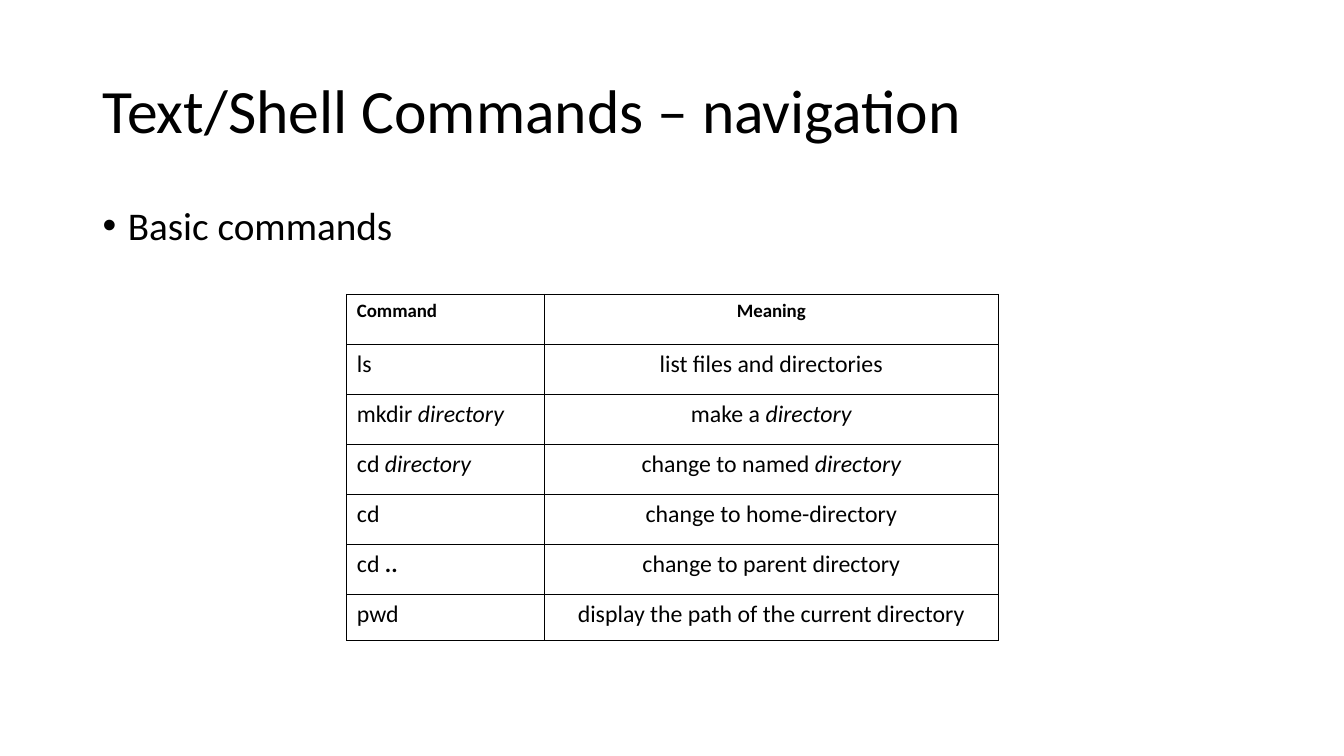
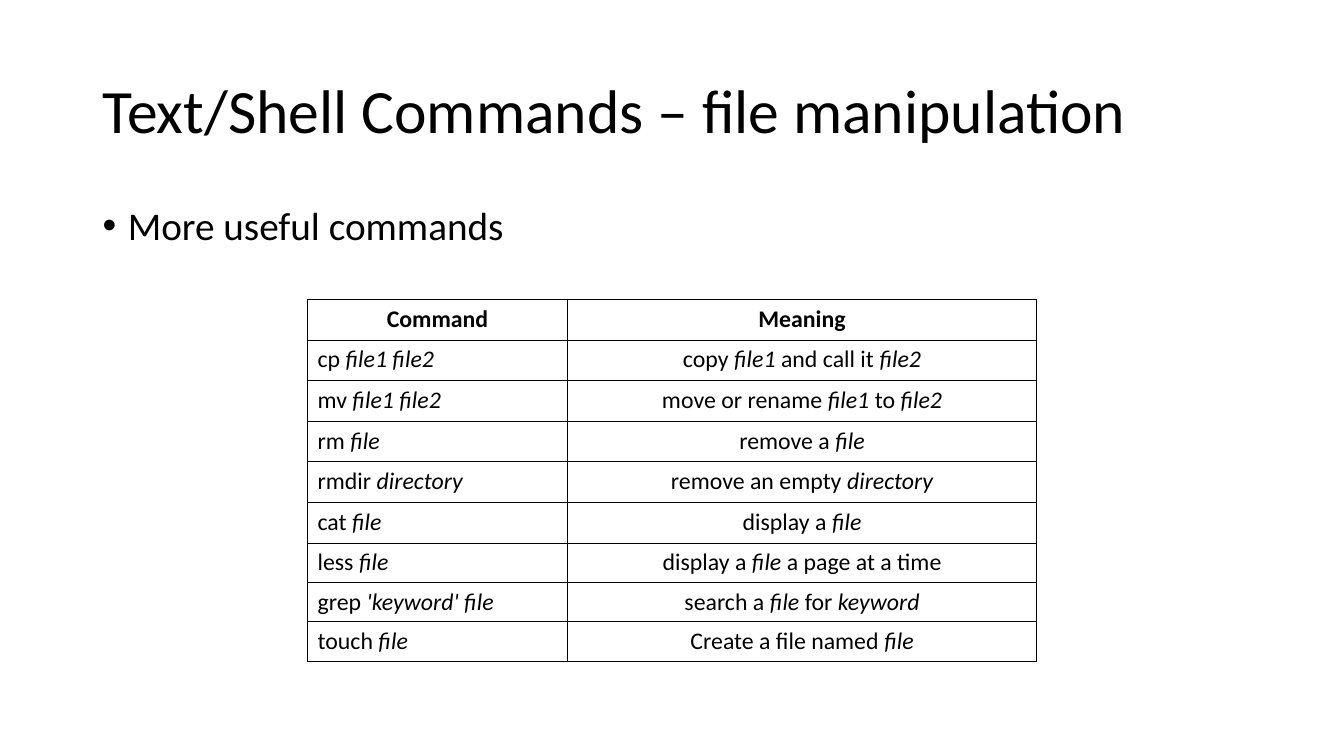
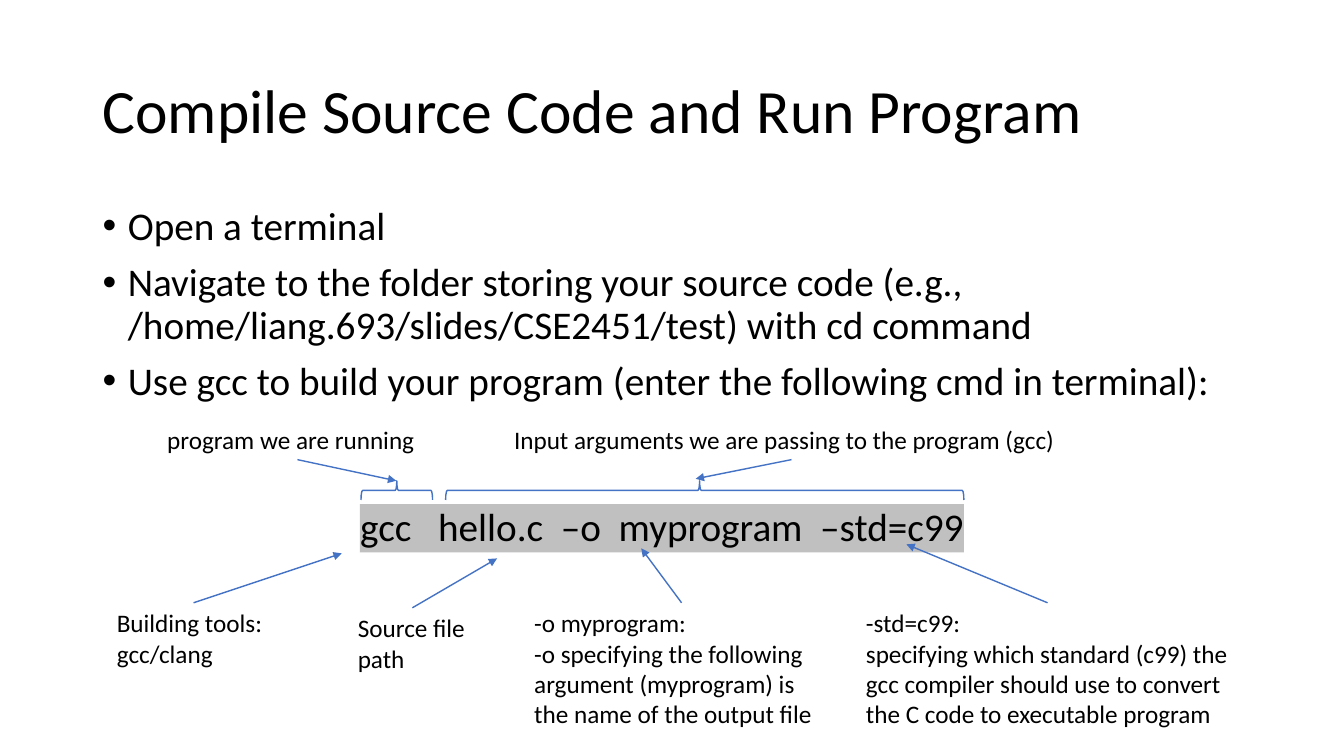
from lxml import etree
from pptx import Presentation
from pptx.dml.color import RGBColor
from pptx.enum import shapes, text
from pptx.oxml import ns
from pptx.util import Inches, Pt

BLACK = RGBColor(0x00, 0x00, 0x00)
BLUE = RGBColor(0x44, 0x72, 0xC4)
SILVER = RGBColor(0xC0, 0xC0, 0xC0)
FONT = "Calibri"
LEFT, CENTER = text.PP_ALIGN.LEFT, text.PP_ALIGN.CENTER
MIDDLE, TOP = text.MSO_ANCHOR.MIDDLE, text.MSO_ANCHOR.TOP


def set_values(target, values):
    for name, value in values.items():
        setattr(target, name, value)


def add_xml(parent, tag, **attributes):
    return etree.SubElement(parent, ns.qn(tag), attributes)


class Deck:
    """Holds the presentation style and the current slide."""

    outline = {"width": Pt(1)}
    body_format = {"line_spacing": 0.9, "space_before": Pt(10)}

    def __init__(self):
        self.presentation = Presentation()
        set_values(self.presentation, {"slide_width": Inches(13.33), "slide_height": Inches(7.5)})
        self.slide = None

    def new_slide(self, title, bullets, body_height=4.76):
        layout = self.presentation.slide_layouts[6]
        self.slide = self.presentation.slides.add_slide(layout)
        self.text_box(0.92, 0.4, 11.5, 1.45, [title], 44, anchor=MIDDLE,
                      paragraph_format={"line_spacing": 0.9})
        body = self.text_box(0.92, 2, 11.5, body_height, bullets, 28,
                             paragraph_format=self.body_format)
        for paragraph in body.paragraphs:
            properties = paragraph._p.get_or_add_pPr()
            properties.set("marL", str(Inches(0.25)))
            properties.set("indent", str(Inches(-0.25)))
            add_xml(properties, "a:buFont", typeface="Arial")
            add_xml(properties, "a:buChar", char="•")

    def add_run(self, paragraph, wording, size, bold=False, italic=False):
        run = paragraph.add_run()
        run.text = wording
        set_values(run.font, {"name": FONT, "size": Pt(size), "bold": bold, "italic": italic})
        run.font.color.rgb = BLACK
        return run

    def text_box(self, left, top, width, height, lines, size, anchor=TOP, paragraph_format=None):
        box = self.slide.shapes.add_textbox(*map(Inches, (left, top, width, height)))
        frame = box.text_frame
        set_values(frame, {"word_wrap": True, "vertical_anchor": anchor})
        for index, line in enumerate(lines):
            paragraph = frame.add_paragraph() if index else frame.paragraphs[0]
            set_values(paragraph, paragraph_format or {})
            self.add_run(paragraph, line, size)
        return frame

    def label(self, left, top, width, height, *lines):
        self.text_box(left, top, width, height, lines, 18)

    def band(self, left, top, width, height):
        shape = self.slide.shapes.add_shape(
            shapes.MSO_SHAPE.RECTANGLE, *map(Inches, (left, top, width, height)))
        shape.shadow.inherit = False
        shape.fill.solid()
        shape.fill.fore_color.rgb = SILVER
        shape.line.fill.background()

    def command_line(self, left, top, width, height, words, gaps):
        """Centred words; each gap is one space widened by some points."""
        frame = self.text_box(left, top, width, height, [], 28)
        paragraph = frame.paragraphs[0]
        paragraph.alignment = CENTER
        for word, gap in zip(words, gaps + [0]):
            self.add_run(paragraph, word, 28)
            if gap:
                space = self.add_run(paragraph, " ", 28)
                space._r.get_or_add_rPr().set("spc", str(round(gap * 100)))

    def marked_text(self, paragraph, wording, size, bold):
        """Write *italic* and **bold** parts as runs of their own."""
        for outer, section in enumerate(wording.split("**")):
            for inner, part in enumerate(section.split("*")):
                if part:
                    self.add_run(paragraph, part, size, bold or outer % 2 == 1, inner % 2 == 1)

    def cell_borders(self, cell):
        properties = cell._tc.get_or_add_tcPr()
        for index, side in enumerate(("a:lnL", "a:lnR", "a:lnT", "a:lnB")):
            line = etree.Element(ns.qn(side), {"w": str(Pt(0.75))})
            add_xml(add_xml(line, "a:solidFill"), "a:srgbClr", val=str(BLACK))
            properties.insert(index, line)

    def table(self, left, top, widths, heights, rows, header_size=17, header_align=CENTER):
        frame = self.slide.shapes.add_table(
            len(rows), len(widths), Inches(left), Inches(top),
            Inches(sum(widths)), Inches(sum(heights)))
        table = frame.table
        set_values(table, {"first_row": False, "horz_banding": False})
        for column, width in zip(table.columns, widths):
            column.width = Inches(width)
        for row, height in zip(table.rows, heights):
            row.height = Inches(height)
        for row_index, row in enumerate(rows):
            header = row_index == 0
            alignments = (header_align if header else LEFT, CENTER)
            for column_index, wording in enumerate(row):
                cell = table.cell(row_index, column_index)
                cell.fill.background()
                self.cell_borders(cell)
                paragraph = cell.text_frame.paragraphs[0]
                paragraph.alignment = alignments[column_index]
                self.marked_text(paragraph, wording, header_size if header else 17, header)

    def brace(self, left, top, width, height, tip=0.5):
        """Upward brace: a left brace turned a quarter about its centre."""
        shape = self.slide.shapes.add_shape(
            shapes.MSO_SHAPE.LEFT_BRACE,
            Inches(left + (width - height) / 2), Inches(top + (height - width) / 2),
            Inches(height), Inches(width))
        shape.rotation = 90
        shape.shadow.inherit = False
        shape.adjustments[1] = tip
        shape.fill.background()
        set_values(shape.line, self.outline)
        shape.line.color.rgb = BLUE

    def arrow(self, *ends):
        connector = self.slide.shapes.add_connector(
            shapes.MSO_CONNECTOR.STRAIGHT, *map(Inches, ends))
        set_values(connector.line, self.outline)
        connector.line.color.rgb = BLUE
        add_xml(connector.line._get_or_add_ln(), "a:tailEnd", type="triangle")
        add_xml(connector._element.spPr, "a:effectLst")


NAVIGATION = [
    ("Command", "Meaning"),
    ("ls", "list files and directories"),
    ("mkdir *directory*", "make a *directory*"),
    ("cd *directory*", "change to named *directory*"),
    ("cd", "change to home-directory"),
    ("cd **..**", "change to parent directory"),
    ("pwd", "display the path of the current directory"),
]

FILE_MANIPULATION = [
    ("Command", "Meaning"),
    ("cp *file1 file2*", "copy *file1* and call it *file2*"),
    ("mv *file1 file2*", "move or rename *file1* to *file2*"),
    ("rm *file*", "remove a *file*"),
    ("rmdir *directory*", "remove an empty *directory*"),
    ("cat *file*", "display a *file*"),
    ("less *file*", "display a *file* a page at a time"),
    ("grep *'keyword' file*", "search a *file* for *keyword*"),
    ("touch *file*", "Create a file named *file*"),
]


def main():
    deck = Deck()

    # Navigation commands
    deck.new_slide("Text/Shell Commands – navigation", ["Basic commands"])
    deck.table(3.44, 2.92, [1.96, 4.5], [2.98 / 6] * 6 + [0.46], NAVIGATION,
               header_size=13.5, header_align=LEFT)

    # File commands
    deck.new_slide("Text/Shell Commands – file manipulation", ["More useful commands"])
    deck.table(3.05, 2.97, [2.58, 4.65], [2.42 / 6] * 6 + [0.39] * 3, FILE_MANIPULATION)

    # Compiling
    deck.new_slide("Compile Source Code and Run Program", [
        "Open a terminal",
        "Navigate to the folder storing your source code (e.g., "
        "/home/liang.693/slides/CSE2451/test) with cd command",
        "Use gcc to build your program (enter the following cmd in terminal):",
    ], body_height=2.16)
    deck.band(3.57, 5, 5.99, 0.48)
    deck.command_line(3.4, 4.93, 6.33, 0.57,
                      ["gcc", "hello.c", "–o", "myprogram", "–std=c99"],
                      [12.7, 6.3, 6.3, 6.3])

    # Explanations above and below the command
    deck.label(1.56, 4.16, 2.78, 0.4, "program we are running")
    deck.label(5, 4.16, 5.7, 0.4, "Input arguments we are passing to the program (gcc)")
    deck.label(1.06, 5.98, 1.71, 0.71, "Building tools:", "gcc/clang")
    deck.label(3.45, 6.03, 1.28, 0.71, "Source file path")
    deck.label(5.2, 5.98, 3.12, 1.31, "-o myprogram:",
               "-o specifying the following argument (myprogram) is the name of the output file")
    deck.label(8.49, 5.98, 3.8, 1.31, "-std=c99:",
               "specifying which standard (c99) the gcc compiler should use to convert "
               "the C code to executable program")

    # Braces and arrows
    deck.brace(3.58, 4.77, 0.71, 0.19)
    deck.brace(4.42, 4.77, 5.14, 0.19, tip=0.51)
    for ends in [
        (2.95, 4.56, 3.93, 4.77),
        (7.85, 4.56, 6.9, 4.75),
        (1.92, 5.98, 3.39, 5.49),
        (4.09, 6.03, 4.93, 5.54),
        (6.76, 5.98, 6.36, 5.44),
        (10.39, 5.98, 8.99, 5.4),
    ]:
        deck.arrow(*ends)

    deck.presentation.save("out.pptx")


if __name__ == "__main__":
    main()
